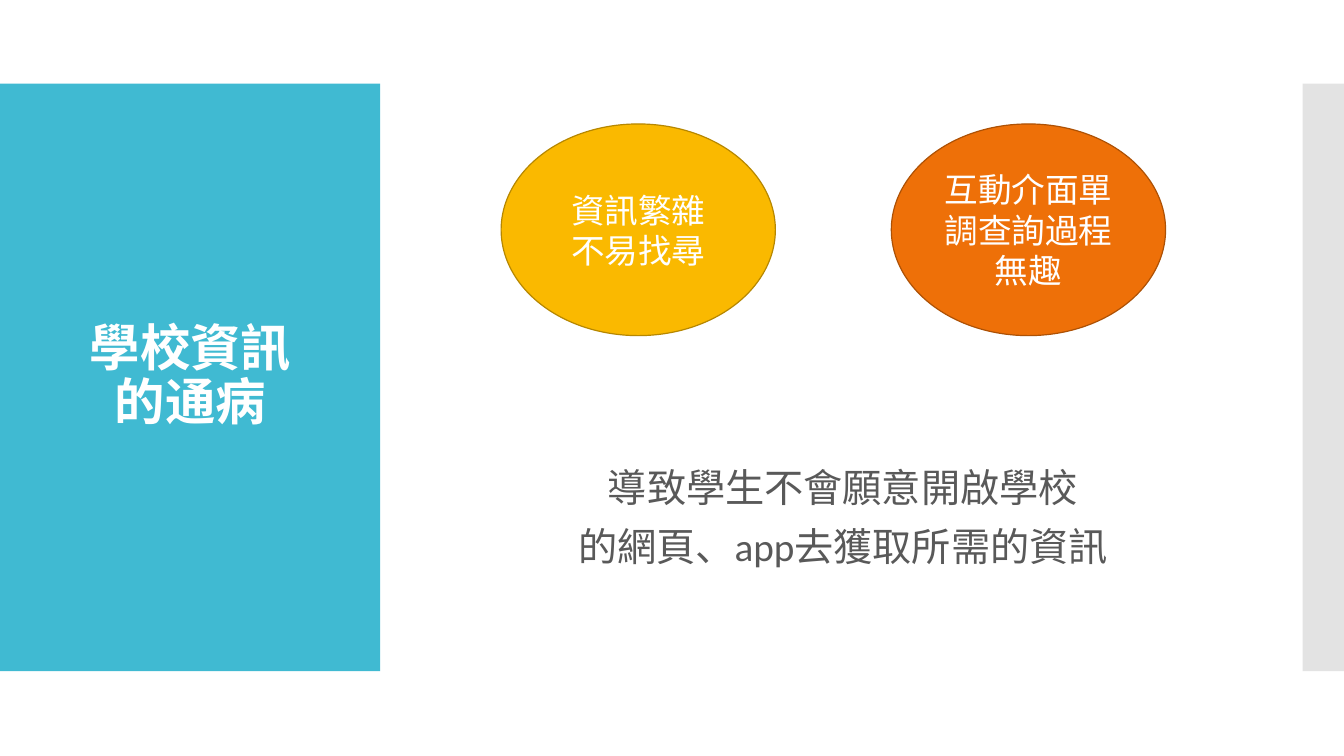
from lxml import etree
from pptx import Presentation
from pptx.dml.color import RGBColor
from pptx.enum.shapes import MSO_SHAPE
from pptx.enum.text import MSO_ANCHOR, PP_ALIGN
from pptx.oxml.ns import qn
from pptx.util import Inches, Pt

RECTANGLE = MSO_SHAPE.RECTANGLE
OVAL = MSO_SHAPE.OVAL
MIDDLE = MSO_ANCHOR.MIDDLE
CENTER = PP_ALIGN.CENTER


def add_filled_shape(kind, left, top, width, height, fill):
    shape = slide.shapes.add_shape(
        kind, Inches(left), Inches(top), Inches(width), Inches(height))
    shape.shadow.inherit = False
    shape.fill.solid()
    shape.fill.fore_color.rgb = RGBColor.from_string(fill)
    shape.line.fill.background()
    return shape


def write_text(shape, text, size, color, bold=False, line_spacing=1.0, gap=0):
    text_frame = shape.text_frame
    text_frame.word_wrap = True
    text_frame.vertical_anchor = MIDDLE
    text_frame.text = text
    for index, paragraph in enumerate(text_frame.paragraphs):
        paragraph.alignment = CENTER
        paragraph.line_spacing = line_spacing
        if index:
            paragraph.space_before = Pt(gap)
        for run in paragraph.runs:
            run.font.name = "Calibri"
            run.font.size = Pt(size)
            run.font.bold = bold
            run.font.color.rgb = RGBColor.from_string(color)


presentation = Presentation()
presentation.slide_width = Inches(13.33)
presentation.slide_height = Inches(7.5)
slide = presentation.slides.add_slide(presentation.slide_layouts[6])

add_filled_shape(RECTANGLE, 0, 0.83, 3.77, 5.83, "40BAD2")
side_bar = add_filled_shape(RECTANGLE, 12.92, 0.83, 0.41, 5.83, "C8C8C8")
side_bar_color = next(side_bar.fill._xPr.iter(qn("a:srgbClr")))
etree.SubElement(side_bar_color, qn("a:alpha"), val="50000")

title = slide.shapes.add_textbox(Inches(0.28), Inches(1.23), Inches(3.22), Inches(5.03))
write_text(title, "學校資訊\v的通病", 36, "FFFFFF", bold=True, line_spacing=0.9)

problems = [
    (4.97, "資訊繁雜\n不易找尋", "FAB900", "B68700"),
    (8.84, "互動介面單調查詢過程無趣", "EE7008", "AD5105"),
]
for left, text, fill, outline in problems:
    ellipse = add_filled_shape(OVAL, left, 1.23, 2.72, 2.1, fill)
    ellipse.line.color.rgb = RGBColor.from_string(outline)
    ellipse.line.width = Pt(0.85)
    write_text(ellipse, text, 24, "FFFFFF")

result = slide.shapes.add_textbox(Inches(4.36), Inches(4.21), Inches(8), Inches(1.88))
write_text(result, "導致學生不會願意開啟學校\n的網頁、app去獲取所需的資訊", 28, "595959",
           line_spacing=0.9, gap=12)

presentation.save("out.pptx")
